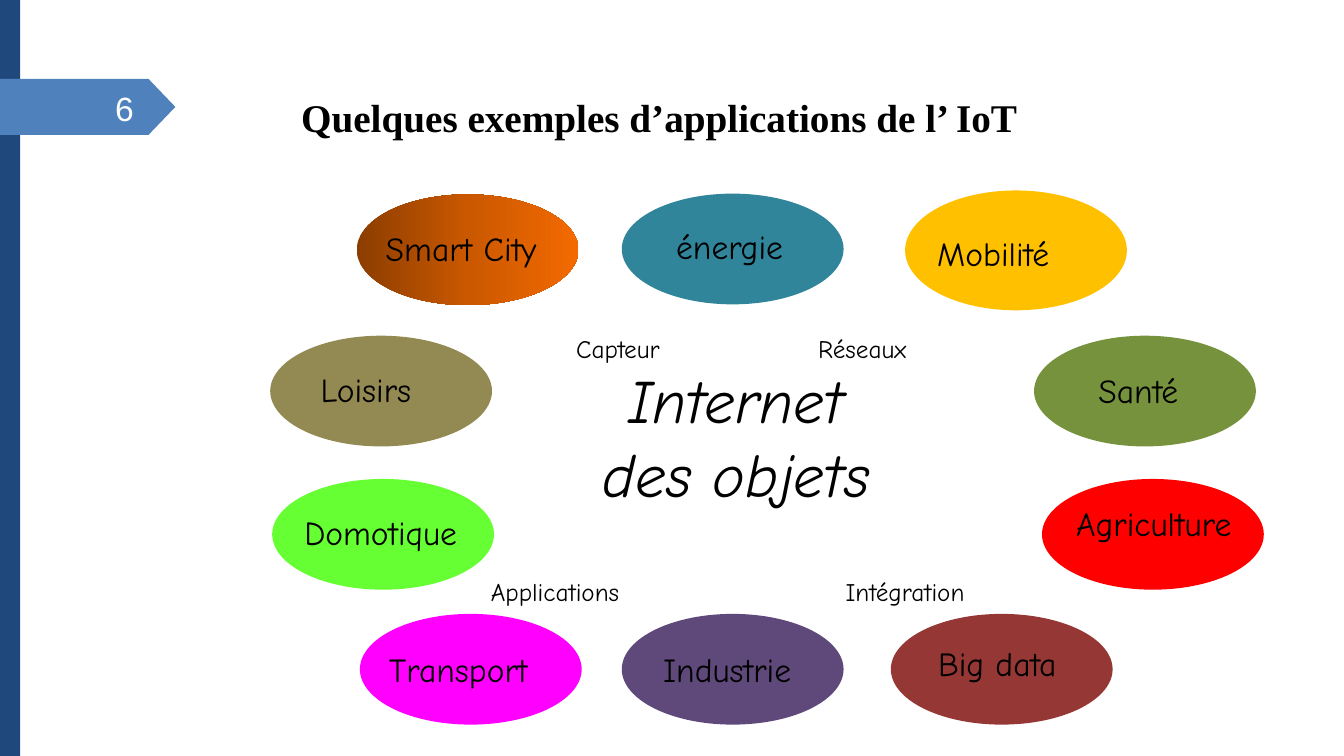
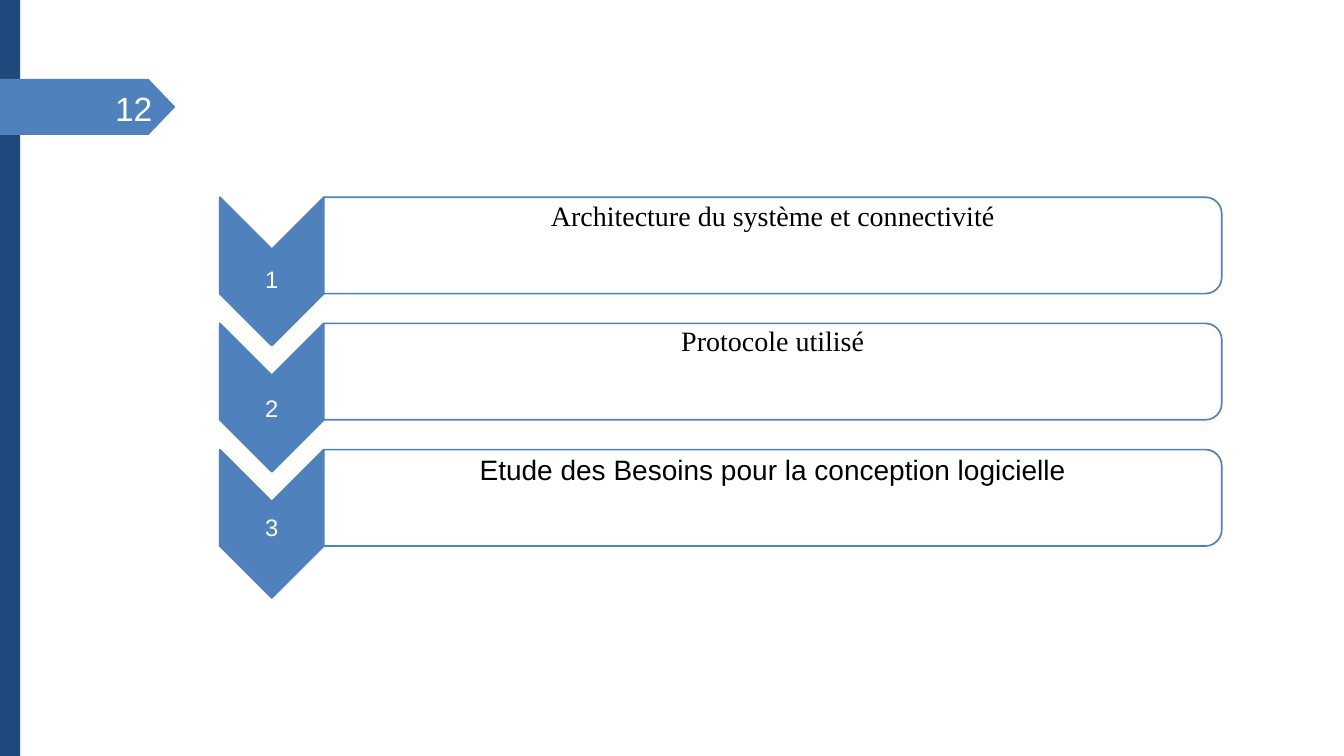
import copy
import math

import pptx
import pptx.dml.color
import pptx.enum.shapes
import pptx.enum.text
import pptx.util

Cm = pptx.util.Cm
Pt = pptx.util.Pt
SHAPE = pptx.enum.shapes.MSO_SHAPE
ALIGN = pptx.enum.text.PP_ALIGN

# Shared look
SLIDE_W, SLIDE_H = 33.87, 19.05
NAVY, BLUE, WHITE, BLACK = "1F487C", "4F81BC", "FFFFFF", "000000"
SERIF, SANS, COMIC = "Times New Roman", "Arial", "Comic Neue"
LABEL_INSETS = (0.25, 0.13, 0.25, 0.13)

# Application: left, top, label offset right, label offset down, fill
APPLICATIONS = {
    "énergie": (15.67, 4.88, 1.12, 0.69, "31859B"),
    "Smart City": (8.99, 4.9, 0.48, 0.71, ("8C3D00", "CA5800", "F36A00")),
    "Mobilité": (22.81, 4.8, 0.56, 0.94, "FFC000"),
    "Loisirs": (6.81, 8.46, 1.02, 0.71, "938953"),
    "Domotique": (6.86, 12.07, 0.56, 0.69, "66FF33"),
    "Transport": (9.07, 15.47, 0.48, 0.74, "FF00FF"),
    "Industrie": (15.67, 15.47, 0.79, 0.74, "5F497A"),
    "Agriculture": (26.26, 12.07, 0.61, 0.48, "FF0000"),
    "Santé": (26.06, 8.46, 1.37, 0.74, "76923C"),
    "Big data": (22.45, 15.47, 0.94, 0.61, "953734"),
}
KEYWORDS = {
    "Réseaux": (20.37, 8.26),
    "Capteur": (14.27, 8.28),
    "Applications": (12.12, 14.4),
    "Intégration": (21.06, 14.4),
}
# Step: text, font, text inset at the top, offset of its number
STEPS = [
    ("Architecture du système et connectivité", SERIF, 0.04, 1.68),
    ("Protocole utilisé", SERIF, 0, 1.73),
    ("Etude des Besoins pour la conception logicielle", SANS, 0.08, 1.55),
]


def rgb(value):
    return pptx.dml.color.RGBColor.from_string(value)


def write(frame, text, font=COMIC, size=24, color=BLACK, bold=False,
          italic=False, align=ALIGN.LEFT, insets=LABEL_INSETS, wrap=True):
    """Fill a text frame with one formatted paragraph."""
    frame.auto_size = pptx.enum.text.MSO_AUTO_SIZE.NONE
    frame.word_wrap = wrap
    frame.vertical_anchor = pptx.enum.text.MSO_ANCHOR.TOP
    (frame.margin_left, frame.margin_top,
     frame.margin_right, frame.margin_bottom) = map(Cm, insets)
    paragraph = frame.paragraphs[0]
    paragraph.alignment = align
    run = paragraph.add_run()
    run.text = text
    run.font.name = font
    run.font.size = Pt(size)
    run.font.bold = bold
    run.font.italic = italic
    run.font.color.rgb = rgb(color)


def label(slide, text, left, top, width, height, **text_format):
    box = slide.shapes.add_textbox(Cm(left), Cm(top), Cm(width), Cm(height))
    write(box.text_frame, text, **text_format)


def paint(shape, fill, line=None):
    """Give a shape a plain fill, or a gradient of three colours."""
    shape.shadow.inherit = False
    if isinstance(fill, tuple):
        shape.fill.gradient()
        shape.fill.gradient_angle = 0
        stops = shape._element.spPr.find(".//" + pptx.oxml.ns.qn("a:gsLst"))
        stops.insert(1, copy.deepcopy(stops[0]))
        for i, stop in enumerate(shape.fill.gradient_stops):
            stop.position = i / 2
            stop.color.rgb = rgb(fill[i])
    else:
        shape.fill.solid()
        shape.fill.fore_color.rgb = rgb(fill)
    if line:
        shape.line.color.rgb = rgb(line)
        shape.line.width = Pt(1.2)
    else:
        shape.line.fill.background()
    return shape


def preset(slide, kind, left, top, width, height, fill):
    return paint(slide.shapes.add_shape(
        kind, Cm(left), Cm(top), Cm(width), Cm(height)), fill)


def outline(slide, left, top, points, fill, line):
    """Draw a closed polygon from points relative to left and top."""
    corners = [(Cm(left + x), Cm(top + y)) for x, y in points]
    builder = slide.shapes.build_freeform(*corners[0])
    builder.add_line_segments(corners[1:], close=True)
    return paint(builder.convert_to_shape(), fill, line)


def new_slide(deck, layout, number):
    """Add a slide with the side band and the numbered tag."""
    slide = deck.slides.add_slide(deck.slide_layouts[layout])
    preset(slide, SHAPE.RECTANGLE, 0, 0, 0.51, SLIDE_H, NAVY)
    tag = preset(slide, SHAPE.PENTAGON, 0, 1.99, 4.42, 1.41, BLUE)
    tag.adjustments[0] = 0.48
    label(slide, str(number), 2.65, 2.08, 1.5, 1.27,
          font=SANS, color="FDFFFF", wrap=False)
    return slide


def application(slide, name, left, top, dx, dy, fill):
    height = 3.02 if name == "Mobilité" else 2.79
    preset(slide, SHAPE.OVAL, left, top, 5.59, height, fill)
    label(slide, name, left + dx, top + dy, 5.59, 1.27)


def applications_slide(deck):
    slide = new_slide(deck, 5, 6)
    title = slide.shapes.title
    title.left, title.top, title.width, title.height = map(
        Cm, (7.59, 2.34, 22.86, 2.13))
    write(title.text_frame, "Quelques exemples d’applications de l’ IoT",
          font=SERIF, size=28, bold=True, insets=(0, 0, 0, 0))
    for name, place in APPLICATIONS.items():
        application(slide, name, *place)
    # Centre and its keywords
    label(slide, "Internet des objets", 14.66, 8.99, 7.8, 5.89,
          size=44, italic=True, align=ALIGN.CENTER)
    for word, (left, top) in KEYWORDS.items():
        label(slide, word, left, top, 5.21, 1.02, size=18)


def step(slide, number, left, top, text, font, inset, number_dy):
    """Draw a numbered chevron and the box to its right."""
    arrow_w, box_w, box_h, radius = 2.62, 22.63, 2.43, 0.41
    tip = arrow_w / 2
    outline(slide, left, top,
            [(0, 0), (tip, tip), (arrow_w, 0), (arrow_w, box_h),
             (tip, box_h + tip), (0, box_h)], BLUE, BLUE)
    label(slide, str(number), left, top + number_dy, arrow_w, 0.79, font=SANS,
          size=17, color=WHITE, align=ALIGN.CENTER, insets=(0, 0.03, 0, 0))
    # Box with its two right corners rounded
    points = [(0, box_h), (0, 0)]
    for center_y, start in ((radius, -90), (box_h - radius, 0)):
        for degrees in range(start, start + 91, 15):
            angle = math.radians(degrees)
            points.append((box_w - radius + radius * math.cos(angle),
                           center_y + radius * math.sin(angle)))
    box = outline(slide, left + arrow_w, top, points, WHITE, BLUE)
    write(box.text_frame, text, font=font, size=20, align=ALIGN.CENTER,
          insets=(0, inset, 0, 0))


def steps_slide(deck):
    slide = new_slide(deck, 6, 12)
    for i, content in enumerate(STEPS):
        step(slide, i + 1, 5.54, 4.97 + 3.18 * i, *content)


def main():
    deck = pptx.Presentation()
    deck.slide_width, deck.slide_height = Cm(SLIDE_W), Cm(SLIDE_H)
    applications_slide(deck)
    steps_slide(deck)
    deck.save("out.pptx")


if __name__ == "__main__":
    main()
